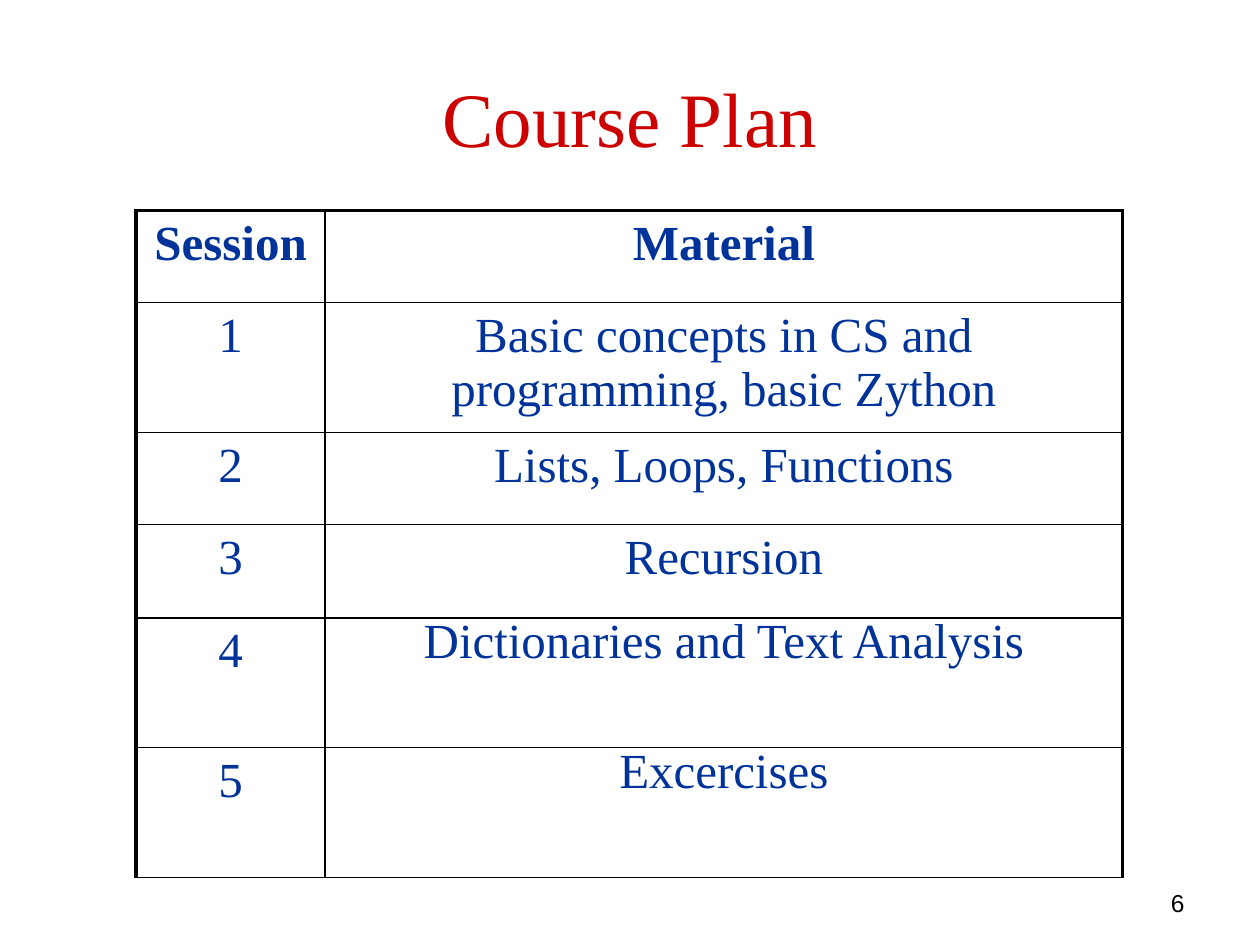
"""Build the course plan slide."""
from lxml import etree
from pptx import Presentation
from pptx.dml import color
from pptx.enum import text
from pptx.oxml import ns
from pptx.util import Inches, Pt

SERIF = "Times New Roman"
SESSIONS = [
    ("Session", "Material"),
    ("1", "Basic concepts in CS and programming, basic Zython"),
    ("2", "Lists, Loops, Functions"),
    ("3", "Recursion"),
    ("4", "Dictionaries and Text Analysis"),
    ("5", "Excercises"),
]
COLUMN_WIDTHS = [1.5, 6.33]
ROW_HEIGHTS = [0.73, 1.03, 0.73, 0.74, 1.03, 1.03]
TIGHT_ROWS = (4, 5)


def rgb(value):
    """Turn a hex string into a colour."""
    return color.RGBColor.from_string(value)


def write(frame, words, size, font, ink, align, bold=False):
    """Set the text of a frame and format it."""
    frame.text = words
    frame.word_wrap = True
    para = frame.paragraphs[0]
    para.alignment = align
    for span in para.runs:
        span.font.size = Pt(size)
        span.font.name = font
        span.font.bold = bold
        span.font.color.rgb = rgb(ink)
    return para


def place(shape, left, top, width, height):
    """Move and size a shape, in inches."""
    shape.left, shape.top = Inches(left), Inches(top)
    shape.width, shape.height = Inches(width), Inches(height)


def add_border(cell, side, width):
    """Draw one black border of a table cell."""
    properties = cell._tc.get_or_add_tcPr()
    line = etree.SubElement(properties, ns.qn(f"a:ln{side}"), w=str(Pt(width)))
    fill = etree.SubElement(line, ns.qn("a:solidFill"))
    etree.SubElement(fill, ns.qn("a:srgbClr"), val="000000")


def add_title(page, words):
    """Fill the title placeholder."""
    title = page.shapes.title
    place(title, 0.5, 0.3, 9, 1.25)
    title.text_frame.vertical_anchor = text.MSO_ANCHOR.MIDDLE
    write(title.text_frame, words, 44, SERIF, "CC0000", text.PP_ALIGN.CENTER)


def add_plan(page):
    """Add the table of sessions with heavier top and side borders."""
    frame = page.shapes.add_table(
        len(SESSIONS), len(COLUMN_WIDTHS), Inches(1.08), Inches(1.67),
        Inches(sum(COLUMN_WIDTHS)), Inches(sum(ROW_HEIGHTS)))
    table = frame.table
    table.first_row = table.horz_banding = False
    for column, width in zip(table.columns, COLUMN_WIDTHS):
        column.width = Inches(width)
    for row, height in zip(table.rows, ROW_HEIGHTS):
        row.height = Inches(height)
    for i, session in enumerate(SESSIONS):
        for j, words in enumerate(session):
            cell = table.cell(i, j)
            para = write(cell.text_frame, words, 28, SERIF, "003399",
                         text.PP_ALIGN.CENTER, bold=i == 0)
            if i in TIGHT_ROWS and j == 1:
                para.line_spacing = 0.8
            heavy = {"L": j == 0, "R": j == 1, "T": i == 0, "B": False}
            for side, outer in heavy.items():
                add_border(cell, side, 2.25 if outer else 1)
            cell.fill.background()


def add_page_number(page, number):
    """Add the page number at the lower right."""
    box = page.shapes.add_textbox(
        Inches(7.17), Inches(7), Inches(2.33), Inches(0.25))
    write(box.text_frame, number, 14, "Arial", "000000", text.PP_ALIGN.RIGHT)


def main():
    """Build and save the deck."""
    deck = Presentation()
    deck.slide_width, deck.slide_height = Inches(10), Inches(7.5)
    page = deck.slides.add_slide(deck.slide_layouts[5])
    add_page_number(page, "6")
    add_title(page, "Course Plan")
    add_plan(page)
    deck.save("out.pptx")


if __name__ == "__main__":
    main()
